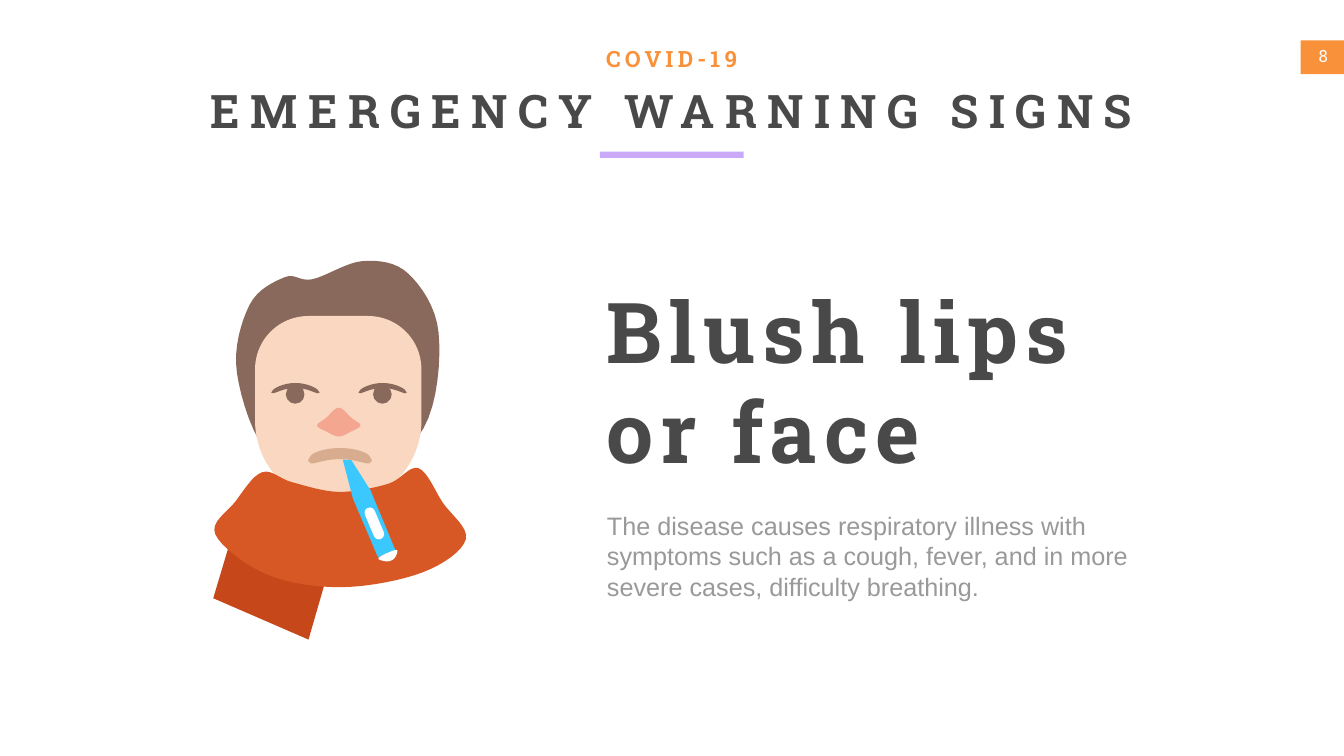
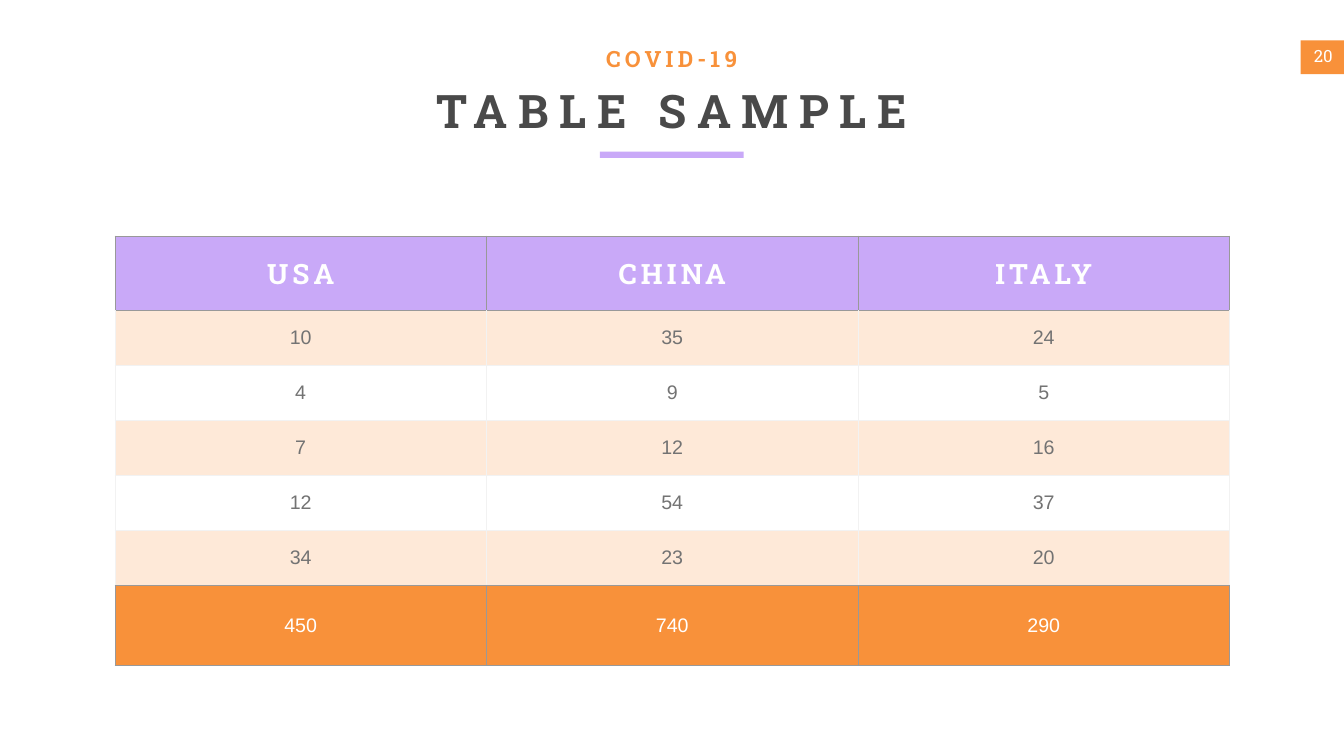
from pptx import Presentation, util as u
from pptx.dml.color import RGBColor
from pptx.enum import shapes, text
from pptx.oxml import parse_xml
from pptx.oxml.ns import nsdecls

WIDTH, HEIGHT = u.Inches(26.66), u.Inches(15)
SLAB, SANS = "Roboto Slab", "Arial"
COLORS = {
    "orange": "F8913A", "lilac": "C9A9F8", "ink": "494949", "gray": "999999",
    "figure": "737373", "peach": "FEE9D8", "pale": "F2F2F2", "white": "FFFFFF",
    "hair": "89695B", "skin": "F9D7C0", "neck": "E5C3AC", "scarf": "D85825",
    "scarf end": "C6471A", "lips": "D8AD8F", "blue": "3BC8FF", "nose": "F4A690",
}
HAIR = [(6.2, 5.54), (7.2, 5.18), (8.1, 5.43), (8.7, 6.6), (8.4, 8.5), (6.97, 9.62),
        (5.4, 9.1), (4.7, 7.4), (4.95, 6.05), (5.65, 5.5)]
SCARF_END = [(4.23, 11.87), (4.55, 10.8), (5.02, 9.98), (6.72, 10.61), (6.12, 12.69)]
SCARF = [(5.2, 9.37), (4.67, 9.95), (4.27, 10.6), (5.3, 11.4), (6.8, 11.65), (8.4, 11.35),
         (9.24, 10.7), (8.78, 9.97), (8.3, 9.29), (7.7, 9.6), (6.72, 9.76), (5.8, 9.57)]
THERMOMETER = [(7.5, 11.06), (7.84, 10.91), (7.35, 9.73), (6.97, 9.13), (6.8, 9.12), (7, 9.89)]
TIP = [(7.86, 10.91), (7.51, 11.07), (7.68, 11.14), (7.83, 11.07)]
NOSE_HALF = [(0, 8.09), (0.25, 8.29), (0.43, 8.44), (0.25, 8.56), (0, 8.66)]
NOSE_AXIS = 6.72
CASES = [
    ["USA", "CHINA", "ITALY"],
    ["10", "35", "24"],
    ["4", "9", "5"],
    ["7", "12", "16"],
    ["12", "54", "37"],
    ["34", "23", "20"],
    ["450", "740", "290"],
]


def color(name):
    return RGBColor.from_string(COLORS[name])


def across(percent):
    return round(WIDTH * percent / 100)


def down(percent):
    return round(HEIGHT * percent / 100)


def area(left, top, width, height):
    return across(left), down(top), across(width), down(height)


def paint(shape, fill):
    shape.shadow.inherit = False
    shape.fill.solid()
    shape.fill.fore_color.rgb = color(fill)
    shape.line.fill.background()


def write(frame, words, size, font, ink, bold=False, spacing=0, centered=True):
    frame.text = words
    paragraph = frame.paragraphs[0]
    paragraph.alignment = text.PP_ALIGN.CENTER if centered else text.PP_ALIGN.LEFT
    run = paragraph.runs[0]
    run.font.size, run.font.name, run.font.bold = u.Pt(size), font, bold
    run.font.color.rgb = color(ink)
    if spacing:
        run.font._element.set("spc", str(spacing * 100))


def add_text(slide, place, words, *style, wrap=True, **options):
    frame = slide.shapes.add_textbox(*area(*place)).text_frame
    frame.word_wrap = wrap
    write(frame, words, *style, **options)
    return frame


def add_bar(slide, place, fill):
    bar = slide.shapes.add_shape(shapes.MSO_SHAPE.RECTANGLE, *area(*place))
    paint(bar, fill)


def add_page(presentation, title, number):
    slide = presentation.slides.add_slide(presentation.slide_layouts[5])
    add_bar(slide, (96.77, 5.33, 3.23, 4.47), "orange")
    frame = add_text(slide, (96.96, 5.4, 3, 4.07), str(number), 24, SLAB, "white", wrap=False)
    frame.margin_left = frame.margin_right = u.Inches(0.2)
    frame.margin_top = frame.margin_bottom = u.Inches(0.1)
    heading = slide.shapes.title
    heading.left, heading.top, heading.width, heading.height = area(11.85, 10.53, 76.29, 15.47)
    heading.text_frame.vertical_anchor = text.MSO_ANCHOR.TOP
    heading.text_frame.auto_size = text.MSO_AUTO_SIZE.NONE
    write(heading.text_frame, title, 66, SLAB, "ink", bold=True, spacing=15)
    add_bar(slide, (44.64, 20.07, 10.69, 0.83), "lilac")
    add_text(slide, (44.52, 5.6, 10.92, 4.27), "COVID-19", 32, SLAB, "orange",
             bold=True, spacing=6, wrap=False)
    return slide


def smooth(points, steps=8):
    count = len(points)
    for index in range(count):
        near = [points[(index + offset) % count] for offset in (-1, 0, 1, 2)]
        for step in range(steps):
            t = step / steps
            yield tuple(b + t / 2 * (c - a + t * (2 * a - 5 * b + 4 * c - d
                                                 + t * (3 * (b - c) + d - a)))
                        for a, b, c, d in zip(*near))


def add_outline(group, fill, points):
    places = [(u.Inches(x), u.Inches(y)) for x, y in points]
    builder = group.shapes.build_freeform(*places[0])
    builder.add_line_segments(places[1:], close=True)
    paint(builder.convert_to_shape(), fill)


def add_preset(group, kind, fill, place, rounding=(), turn=0):
    shape = group.shapes.add_shape(kind, *map(u.Inches, place))
    for index, share in enumerate(rounding):
        shape.adjustments[index] = share
    shape.rotation = turn
    paint(shape, fill)


def add_arch(group, fill, left, width, base, rise, thickness, steps=24):
    upper, lower = [], []
    for step in range(steps + 1):
        t = step / steps
        middle = base - rise * 4 * t * (1 - t)
        half = thickness / 2 * (1 - abs(2 * t - 1) ** 8) ** 0.5
        upper.append((left + width * t, middle - half))
        lower.append((left + width * t, middle + half))
    add_outline(group, fill, upper + lower[::-1])


def add_patient(slide):
    group = slide.shapes.add_group_shape()
    preset = shapes.MSO_SHAPE
    add_preset(group, preset.OVAL, "neck", (5.36, 9.05, 2.65, 2.42))
    add_outline(group, "hair", list(smooth(HAIR)))
    add_preset(group, preset.ROUND_2_SAME_RECTANGLE, "skin", (5.06, 6.27, 3.3, 3.73), (0.32, 0.5))
    for left in (5.38, 7.11):
        add_arch(group, "hair", left, 0.96, 7.79, 0.14, 0.1)
        add_preset(group, preset.OVAL, "hair", (left + 0.29, 7.64, 0.37, 0.37))
    add_outline(group, "scarf end", SCARF_END)
    add_outline(group, "scarf", list(smooth(SCARF)))
    add_arch(group, "lips", 6.11, 1.27, 9.14, 0.14, 0.22)
    add_outline(group, "blue", THERMOMETER)
    add_outline(group, "white", list(smooth(TIP)))
    add_preset(group, preset.ROUNDED_RECTANGLE, "white", (7.32, 10.05, 0.21, 0.67), (0.5,), -23)
    nose = [(NOSE_AXIS + x, y) for x, y in NOSE_HALF]
    nose += [(NOSE_AXIS - x, y) for x, y in NOSE_HALF[-2:0:-1]]
    add_outline(group, "nose", list(smooth(nose)))


def add_border(cell, side, name):
    cell._tc.get_or_add_tcPr().append(parse_xml(
        f'<a:ln{side} {nsdecls("a")} w="12700"><a:solidFill>'
        f'<a:srgbClr val="{COLORS[name]}"/></a:solidFill></a:ln{side}>'))


def format_cell(cell, words, row, last):
    accent = row in (0, last)
    edges = {"L": accent, "R": accent, "T": accent or row == 1, "B": accent or row == last - 1}
    for side, dark in edges.items():
        add_border(cell, side, "gray" if dark else "pale")
    if accent or row % 2:
        cell.fill.solid()
        cell.fill.fore_color.rgb = color({0: "lilac", last: "orange"}.get(row, "peach"))
    else:
        cell.fill.background()
    cell.vertical_anchor = text.MSO_ANCHOR.MIDDLE
    cell.margin_left = cell.margin_right = u.Inches(0.14 if accent else 0.1)
    cell.margin_top = cell.margin_bottom = u.Inches(0.07 if accent else 0.05)
    if row == 0:
        write(cell.text_frame, words, 40, SLAB, "white", bold=True, spacing=6)
    else:
        write(cell.text_frame, words, 28, SANS, "white" if accent else "figure")


def add_case_table(slide, rows):
    last = len(rows) - 1
    heights = [9.87] + [7.27] * (last - 1) + [10.6]
    place = area(8.55, 31.2, 82.93, sum(heights))
    table = slide.shapes.add_table(len(rows), len(rows[0]), *place).table
    for row, values in enumerate(rows):
        table.rows[row].height = down(heights[row])
        for column, words in enumerate(values):
            format_cell(table.cell(row, column), words, row, last)


def main():
    presentation = Presentation()
    presentation.slide_width, presentation.slide_height = WIDTH, HEIGHT

    signs = add_page(presentation, "EMERGENCY WARNING SIGNS", 8)
    add_text(signs, (44.79, 67.2, 44.52, 12.8),
             "The disease causes respiratory illness with symptoms such as a cough, "
             "fever, and in more severe cases, difficulty breathing.",
             36, SANS, "gray", centered=False)
    add_text(signs, (44.79, 36.6, 42.84, 27.6), "Blush lips or face", 120, SLAB, "ink",
             bold=True, spacing=10, centered=False)
    add_patient(signs)

    sample = add_page(presentation, "TABLE SAMPLE", 20)
    add_case_table(sample, CASES)

    presentation.save("out.pptx")


if __name__ == "__main__":
    main()
